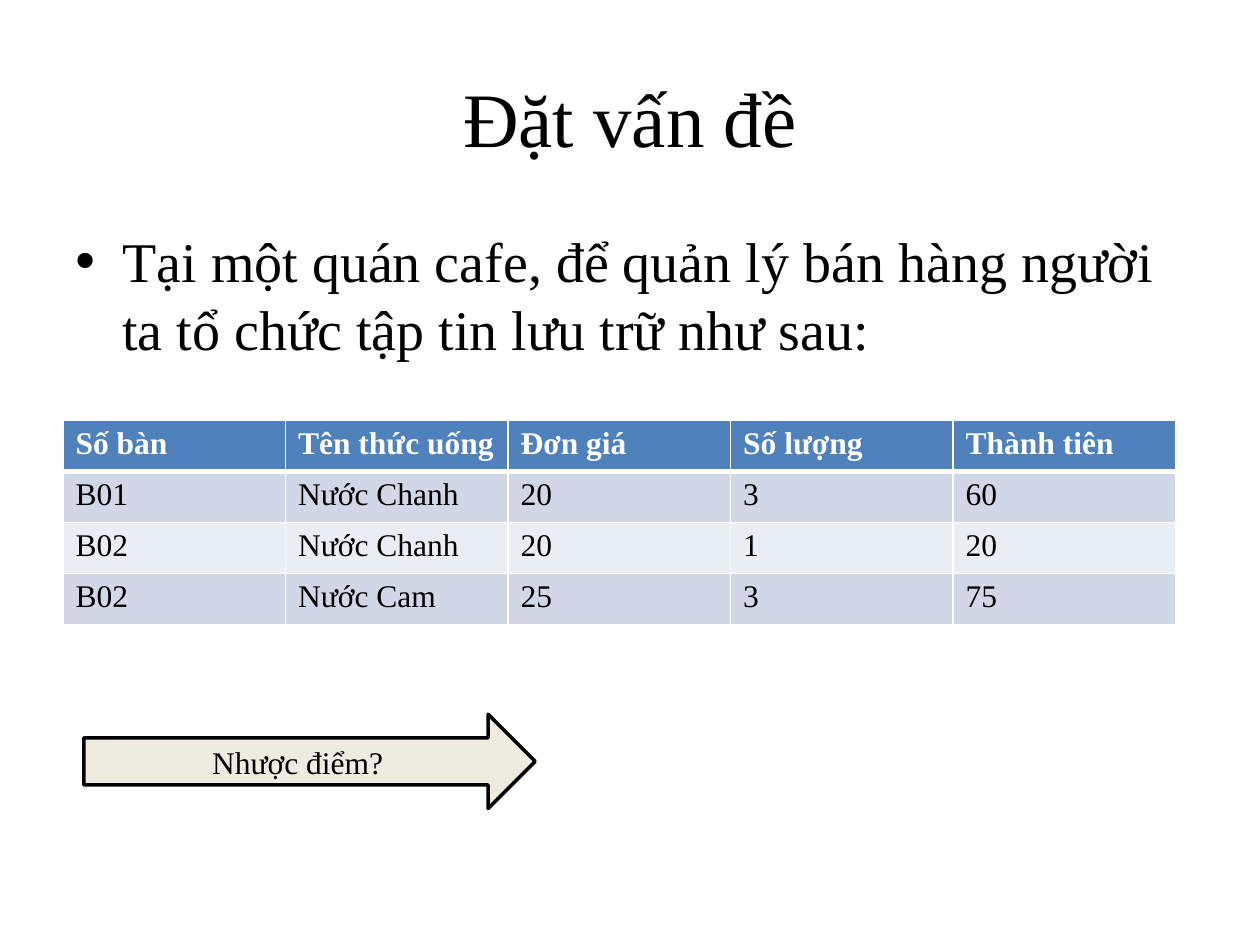
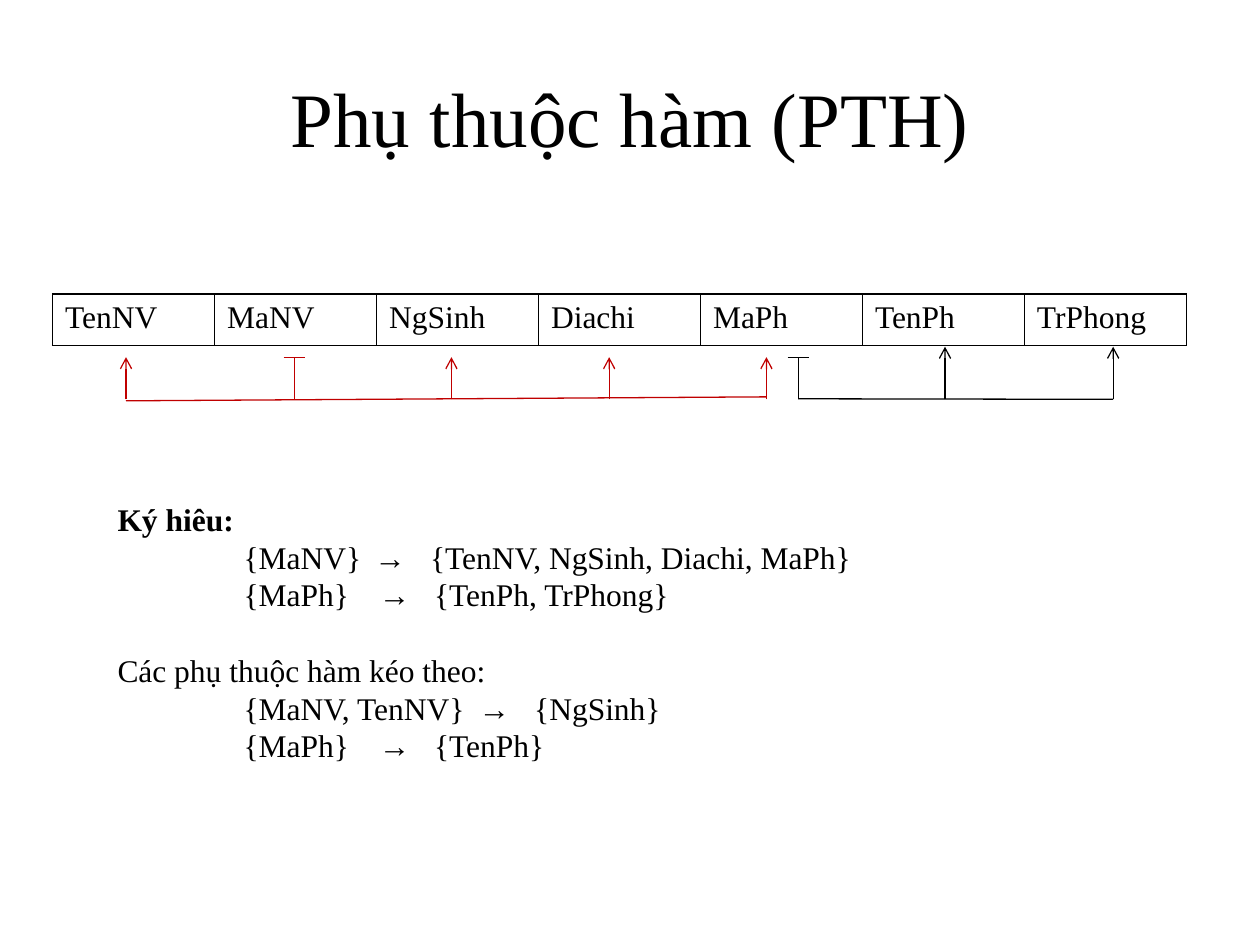
from lxml import etree
from pptx import Presentation
from pptx.dml.color import RGBColor
from pptx.enum.shapes import MSO_CONNECTOR as Connector, MSO_SHAPE as Shape
from pptx.enum.text import MSO_ANCHOR as Anchor, PP_ALIGN as Align
from pptx.oxml.ns import qn
from pptx.util import Cm, Pt

FONT = "Times New Roman"
COLORS = {
    "text": "000000",
    "white": "FFFFFF",
    "header": "4F81BD",
    "band_dark": "D0D8E8",
    "band_light": "E9EDF4",
    "cream": "EEECE1",
    "red": "C00000",
}


def rgb(name):
    return RGBColor.from_string(COLORS[name])


def add_run(paragraph, text, size=18, color="text", bold=False):
    run = paragraph.add_run()
    run.text = text
    run.font.name = FONT
    run.font.size = Pt(size)
    run.font.bold = bold
    run.font.color.rgb = rgb(color)


def add_text_box(slide, left, top, width, height):
    box = slide.shapes.add_textbox(Cm(left), Cm(top), Cm(width), Cm(height))
    box.text_frame.word_wrap = True
    return box.text_frame


def add_title(slide, text):
    frame = add_text_box(slide, 1.27, 0.76, 22.86, 3.18)
    frame.vertical_anchor = Anchor.MIDDLE
    paragraph = frame.paragraphs[0]
    paragraph.alignment = Align.CENTER
    add_run(paragraph, text, 44)


def add_bullet(slide, text):
    frame = add_text_box(slide, 1.27, 4.45, 22.86, 12.57)
    paragraph = frame.paragraphs[0]
    paragraph.space_before = Pt(6.4)
    properties = paragraph._p.get_or_add_pPr()
    properties.set("marL", str(Cm(0.95)))
    properties.set("indent", str(Cm(-0.95)))
    etree.SubElement(properties, qn("a:buFont"), typeface="Arial")
    etree.SubElement(properties, qn("a:buChar"), char="•")
    add_run(paragraph, text, 32)


def set_borders(cell, color, **widths):
    properties = cell._tc.get_or_add_tcPr()
    for index, side in enumerate("LRTB"):
        line = etree.Element(qn(f"a:ln{side}"), w=str(Pt(widths.get(side, 1))))
        fill = etree.SubElement(line, qn("a:solidFill"))
        etree.SubElement(fill, qn("a:srgbClr"), val=COLORS[color])
        properties.insert(index, line)


def add_table(slide, rows, left, top, width, row_height):
    frame = slide.shapes.add_table(
        len(rows), len(rows[0]), Cm(left), Cm(top),
        Cm(width), Cm(row_height * len(rows)))
    table = frame.table
    table.first_row = False
    table.horz_banding = False
    return table


def fill_cell(cell, text, fill, color="text", bold=False):
    cell.fill.solid()
    cell.fill.fore_color.rgb = rgb(fill)
    add_run(cell.text_frame.paragraphs[0], text, color=color, bold=bold)


def add_sales_table(slide, rows):
    table = add_table(slide, rows, 1.27, 8.47, 22.43, 1.03)
    for row_index, row in enumerate(rows):
        for column_index, text in enumerate(row):
            cell = table.cell(row_index, column_index)
            if row_index == 0:
                fill_cell(cell, text, "header", "white", True)
                set_borders(cell, "white", B=3)
            else:
                fill_cell(cell, text, "band_dark" if row_index % 2 else "band_light")
                set_borders(cell, "white", T=3 if row_index == 1 else 1)


def add_attribute_table(slide, names):
    table = add_table(slide, [names], 1.06, 5.93, 22.86, 1.03)
    for column_index, name in enumerate(names):
        cell = table.cell(0, column_index)
        fill_cell(cell, name, "white")
        set_borders(cell, "text")


def add_block_arrow(slide, text):
    arrow = slide.shapes.add_shape(
        Shape.RIGHT_ARROW, Cm(1.69), Cm(14.4), Cm(9.1), Cm(1.9))
    arrow.shadow.inherit = False
    arrow.fill.solid()
    arrow.fill.fore_color.rgb = rgb("cream")
    arrow.line.color.rgb = rgb("text")
    arrow.line.width = Pt(2)
    arrow.text_frame.vertical_anchor = Anchor.MIDDLE
    paragraph = arrow.text_frame.paragraphs[0]
    paragraph.alignment = Align.CENTER
    add_run(paragraph, text)


def add_line(slide, start, end, color, arrow=False):
    line = slide.shapes.add_connector(
        Connector.STRAIGHT, *(Cm(value) for value in (*start, *end)))
    line.line.color.rgb = rgb(color)
    line.line.width = Pt(0.75)
    if arrow:
        etree.SubElement(line.line._get_or_add_ln(), qn("a:tailEnd"), type="arrow")
    etree.SubElement(line._element.spPr, qn("a:effectLst"))


def add_dependency(slide, source, targets, base_start, base_end, tip, color):
    base, source_top, half_bar = 8.05, 7.2, 0.21
    add_line(slide, base_start, base_end, color)
    add_line(slide, (source, base), (source, source_top), color)
    add_line(slide, (source - half_bar, source_top),
             (source + half_bar, source_top), color)
    for target in targets:
        add_line(slide, (target, base), (target, tip), color, arrow=True)


def add_heading(paragraph, text, bold=False, gap=0):
    paragraph.space_before = Pt(gap)
    add_run(paragraph, text, bold=bold)


def add_rule(paragraph, determinant, dependent, arrow_stop, dependent_stop):
    properties = paragraph._p.get_or_add_pPr()
    tab_list = etree.SubElement(properties, qn("a:tabLst"))
    for stop in (2.54, arrow_stop, dependent_stop):
        etree.SubElement(tab_list, qn("a:tab"), pos=str(Cm(stop)), algn="l")
    add_run(paragraph, f"\t{determinant}\t→\t{dependent}")


def add_notation(slide):
    frame = add_text_box(slide, 2.12, 9.95, 20.53, 7.95)
    add_heading(frame.paragraphs[0], "Ký hiêu:", bold=True)
    add_rule(frame.add_paragraph(), "{MaNV}",
             "{TenNV, NgSinh, Diachi, MaPh}", 5.18, 6.3)
    add_rule(frame.add_paragraph(), "{MaPh}", "{TenPh, TrPhong}", 5.27, 6.38)
    add_heading(frame.add_paragraph(), "Các phụ thuộc hàm kéo theo:", gap=21.5)
    add_rule(frame.add_paragraph(), "{MaNV, TenNV}", "{NgSinh}", 7.28, 8.4)
    add_rule(frame.add_paragraph(), "{MaPh}", "{TenPh}", 5.27, 6.38)


def build_problem_slide(slide):
    add_title(slide, "Đặt vấn đề")
    add_bullet(slide, "Tại một quán cafe, để quản lý bán hàng người ta "
                      "tổ chức tập tin lưu trữ như sau:")
    add_sales_table(slide, [
        ["Số bàn", "Tên thức uống", "Đơn giá", "Số lượng", "Thành tiên"],
        ["B01", "Nước Chanh", "20", "3", "60"],
        ["B02", "Nước Chanh", "20", "1", "20"],
        ["B02", "Nước Cam", "25", "3", "75"],
    ])
    add_block_arrow(slide, "Nhược điểm?")


def build_dependency_slide(slide):
    add_title(slide, "Phụ thuộc hàm (PTH)")
    add_notation(slide)
    add_attribute_table(slide, ["TenNV", "MaNV", "NgSinh", "Diachi",
                                "MaPh", "TenPh", "TrPhong"])
    add_dependency(slide, 5.93, [2.54, 9.1, 12.28, 15.45],
                   (2.54, 8.08), (15.45, 8), 7.2, "red")
    add_dependency(slide, 16.09, [19.05, 22.44],
                   (16.09, 8.04), (22.44, 8.05), 6.99, "text")


def main():
    presentation = Presentation()
    presentation.slide_width = Cm(25.4)
    presentation.slide_height = Cm(19.05)
    blank = presentation.slide_layouts[6]
    for build in (build_problem_slide, build_dependency_slide):
        build(presentation.slides.add_slide(blank))
    presentation.save("out.pptx")


if __name__ == "__main__":
    main()
